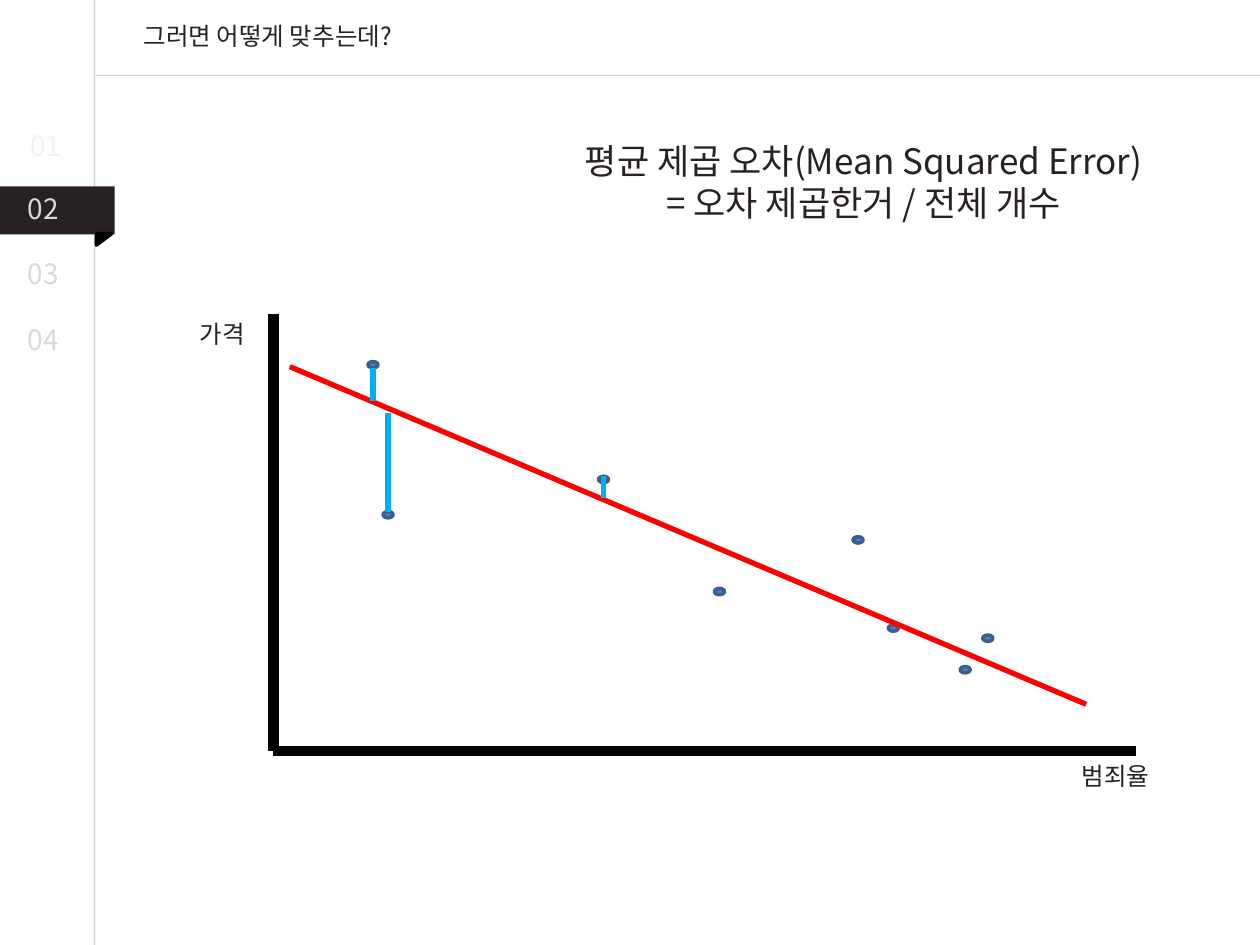
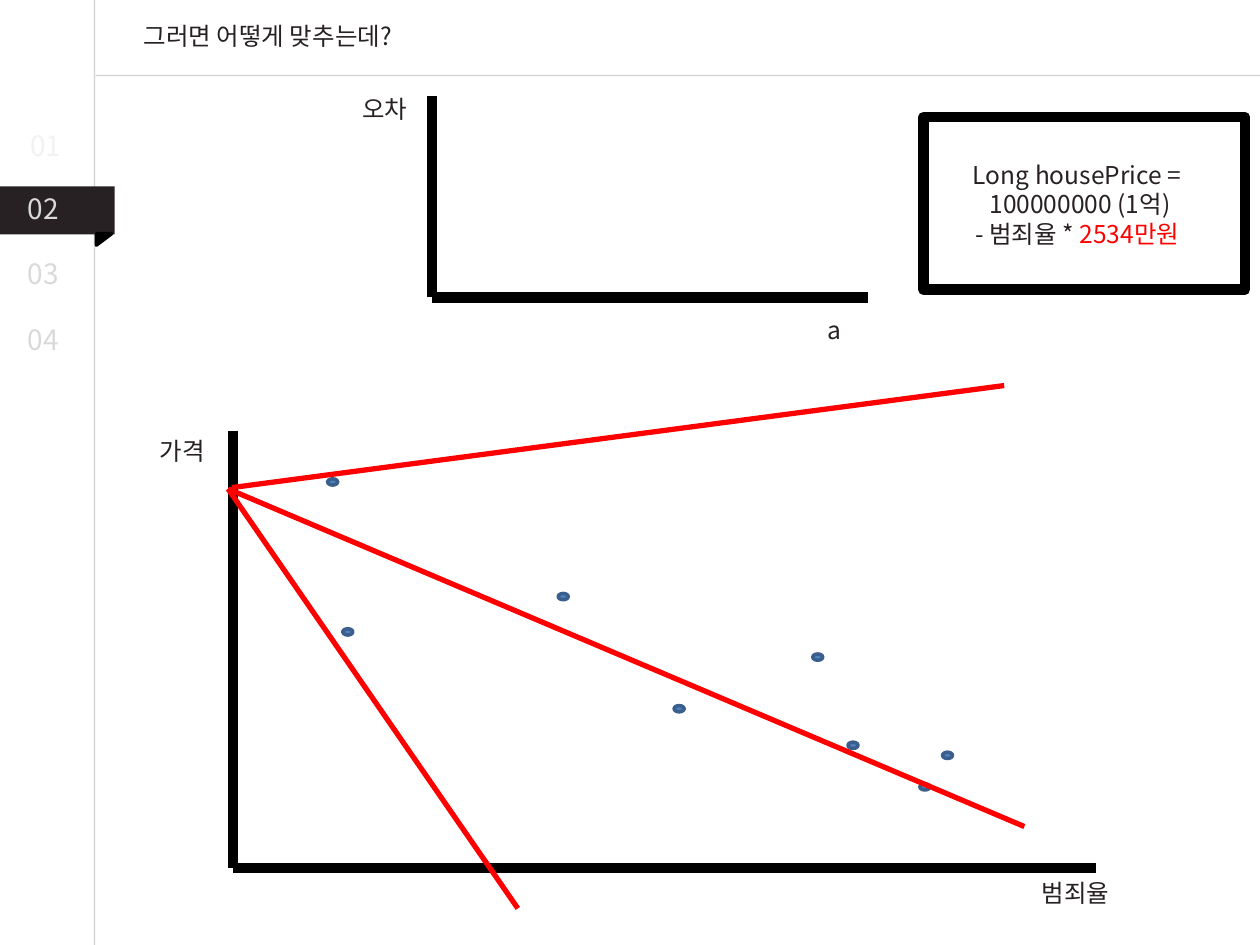
from dataclasses import dataclass

import pptx
import pptx.dml.color
import pptx.enum.shapes
import pptx.enum.text
import pptx.oxml
import pptx.oxml.ns
import pptx.util

RGBColor = pptx.dml.color.RGBColor
Shapes = pptx.enum.shapes.MSO_SHAPE
Align = pptx.enum.text.PP_ALIGN

INK = RGBColor(0x27, 0x21, 0x23)
BLACK = RGBColor(0x00, 0x00, 0x00)
RULE_GREY = RGBColor(0xA6, 0xA6, 0xA6)
NUMBER_GREY = RGBColor(0xD9, 0xD9, 0xD9)
FAINT_GREY = RGBColor(0xF2, 0xF2, 0xF2)
RED = RGBColor(0xFF, 0x00, 0x00)
SKY = RGBColor(0x00, 0xB0, 0xF0)
DOT_FILL = RGBColor(0x4F, 0x81, 0xBD)
DOT_EDGE = RGBColor(0x3A, 0x5F, 0x8C)

FONT = "Noto Sans CJK KR"
COLUMNS, ROWS = 100, 75
SLIDE_WIDTH, SLIDE_HEIGHT = pptx.util.Inches(10), pptx.util.Inches(7.5)
TITLE = "그러면 어떻게 맞추는데?"
HOUSE_DOTS = [(7.5, 30.9), (8.7, 19), (25.8, 21.8), (35, 12.9),
              (46, 17), (48.8, 10), (56.3, 9.2), (54.5, 6.7)]


@dataclass(frozen=True)
class Area:
    column: float
    row: float
    columns: float
    rows: float


@dataclass(frozen=True)
class Segment:
    column: float
    row: float
    end_column: float
    end_row: float


@dataclass(frozen=True)
class Span:
    text: str
    color: RGBColor = INK


@dataclass(frozen=True)
class AxisLabel:
    text: str
    shift_column: float
    shift_row: float


@dataclass(frozen=True)
class Axes:
    column: float
    row: float
    columns: float
    rows: float
    vertical: AxisLabel
    horizontal: AxisLabel


def across(columns: float) -> int:
    return round(SLIDE_WIDTH * columns / COLUMNS)


def down(rows: float) -> int:
    return round(SLIDE_HEIGHT * rows / ROWS)


def place(area: Area) -> tuple[int, int, int, int]:
    return across(area.column), down(area.row), across(area.columns), down(area.rows)


def drawing_element(markup: str):
    return pptx.oxml.parse_xml(markup.replace(">", f" {pptx.oxml.ns.nsdecls('a')}>", 1))


def add_line(page, segment: Segment, color: RGBColor, weight: float, opacity: int = 100) -> None:
    line = page.shapes.add_connector(
        pptx.enum.shapes.MSO_CONNECTOR.STRAIGHT,
        across(segment.column), down(segment.row),
        across(segment.end_column), down(segment.end_row))
    line.line.color.rgb = color
    line.line.width = pptx.util.Pt(weight)
    properties = line._element.spPr
    properties.append(drawing_element("<a:effectLst></a:effectLst>"))
    if opacity < 100:
        tint = properties.find(".//" + pptx.oxml.ns.qn("a:srgbClr"))
        tint.append(drawing_element(f'<a:alpha val="{opacity * 1000}"></a:alpha>'))


def add_figure(page, kind, area: Area, fill: RGBColor | None,
               edge: RGBColor | None = None, weight: float = 2):
    figure = page.shapes.add_shape(kind, *place(area))
    figure.shadow.inherit = False
    if fill is None:
        figure.fill.background()
    else:
        figure.fill.solid()
        figure.fill.fore_color.rgb = fill
    if edge is None:
        figure.line.fill.background()
    else:
        figure.line.color.rgb = edge
        figure.line.width = pptx.util.Pt(weight)
    return figure


def style_paragraph(para, size: float, color: RGBColor, align) -> None:
    para.alignment = align
    font = para.font
    font.size = pptx.util.Pt(size)
    font.name = FONT
    font.color.rgb = color
    properties = para._p.pPr.find(pptx.oxml.ns.qn("a:defRPr"))
    properties.insert(0, drawing_element(
        '<a:ln w="9525"><a:solidFill><a:srgbClr val="000000">'
        '<a:alpha val="30000"/></a:srgbClr></a:solidFill></a:ln>'))
    properties.append(drawing_element(f'<a:ea typeface="{FONT}"></a:ea>'))


def add_text(page, area: Area, lines: list[list[Span]], size: float = 14,
             align=Align.CENTER) -> None:
    frame = page.shapes.add_textbox(*place(area)).text_frame
    frame.word_wrap = True
    frame.auto_size = pptx.enum.text.MSO_AUTO_SIZE.SHAPE_TO_FIT_TEXT
    for index, spans in enumerate(lines):
        para = frame.add_paragraph() if index else frame.paragraphs[0]
        style_paragraph(para, size, spans[0].color, align)
        for span in spans:
            run = para.add_run()
            run.text = span.text
            if span.color != spans[0].color:
                run.font.color.rgb = span.color


def add_page(deck):
    page = deck.slides.add_slide(deck.slide_layouts[6])
    add_line(page, Segment(7.5, 0, 7.5, ROWS), RULE_GREY, 0.75, 50)
    add_line(page, Segment(COLUMNS, 6, 7.6, 6), RULE_GREY, 0.75, 50)
    add_text(page, Area(10.4, 1.2, 59.8, 3.4), [[Span(TITLE)]], align=Align.LEFT)
    add_figure(page, Shapes.RECTANGLE, Area(0, 14.8, 9.1, 3.8), INK)
    fold = add_figure(page, Shapes.RIGHT_TRIANGLE, Area(7.8, 18.4, 0.9, 1.2), BLACK, BLACK)
    fold.rotation = 90
    add_text(page, Area(1.4, 9.7, 4.9, 3.7), [[Span("01", FAINT_GREY)]], 16, Align.LEFT)
    for index, number in enumerate(("02", "03", "04")):
        add_text(page, Area(1.2, 14.7 + 5.2 * index, 4.9, 3.7),
                 [[Span(number, NUMBER_GREY)]], 16, Align.LEFT)
    return page


def add_axes(page, axes: Axes) -> None:
    top, right = axes.row - axes.rows, axes.column + axes.columns
    add_line(page, Segment(axes.column, axes.row, axes.column, top), BLACK, 6)
    add_line(page, Segment(axes.column, axes.row, right, axes.row), BLACK, 6)
    for label, column, row in ((axes.vertical, axes.column, top),
                               (axes.horizontal, right, axes.row)):
        add_text(page, Area(column + label.shift_column, row + label.shift_row, 8.1, 3.4),
                 [[Span(label.text)]])


def add_house_plot(page, column: float, row: float) -> None:
    add_axes(page, Axes(column, row, 68.5, 34.7,
                        AxisLabel("가격", -8.1, -0.1), AxisLabel("범죄율", -5.7, 0.3)))
    for right, up in HOUSE_DOTS:
        add_figure(page, Shapes.OVAL, Area(column + right, row - up, 0.8, 0.5),
                   DOT_FILL, DOT_EDGE)


def build_error_page(deck) -> None:
    page = add_page(deck)
    add_house_plot(page, 21.7, 59.6)
    add_line(page, Segment(23, 29.1, 86.2, 55.9), RED, 3)
    for column, top, bottom in ((30.8, 32.8, 40.6), (29.6, 29.2, 31.8), (47.9, 37.8, 39.5)):
        add_line(page, Segment(column, top, column, bottom), SKY, 3)
    add_text(page, Area(36, 10.6, 65.1, 7.7),
             [[Span("평균 제곱 오차(Mean Squared Error)")],
              [Span("= 오차 제곱한거 / 전체 개수")]], 20)


def build_slope_page(deck) -> None:
    page = add_page(deck)
    add_house_plot(page, 18.5, 68.9)
    add_text(page, Area(73, 12.2, 25, 8.1),
             [[Span("Long housePrice =")],
              [Span(" 100000000 (1억)")],
              [Span("- 범죄율 * "), Span("2534만원", RED)]])
    add_figure(page, Shapes.RECTANGLE, Area(73.3, 9.3, 25.5, 13.7), None, BLACK, 6)
    add_axes(page, Axes(34.3, 23.6, 34.6, 16,
                        AxisLabel("오차", -7.8, -0.6), AxisLabel("a", -6.7, 0.9)))
    for guess in (Segment(18.1, 38.8, 81.3, 65.6),
                  Segment(18.4, 38.7, 79.7, 30.6),
                  Segment(18.1, 38.8, 41.1, 72.1)):
        add_line(page, guess, RED, 3)


def main() -> None:
    deck = pptx.Presentation()
    deck.slide_width, deck.slide_height = SLIDE_WIDTH, SLIDE_HEIGHT
    build_error_page(deck)
    build_slope_page(deck)
    deck.save("out.pptx")


if __name__ == "__main__":
    main()
